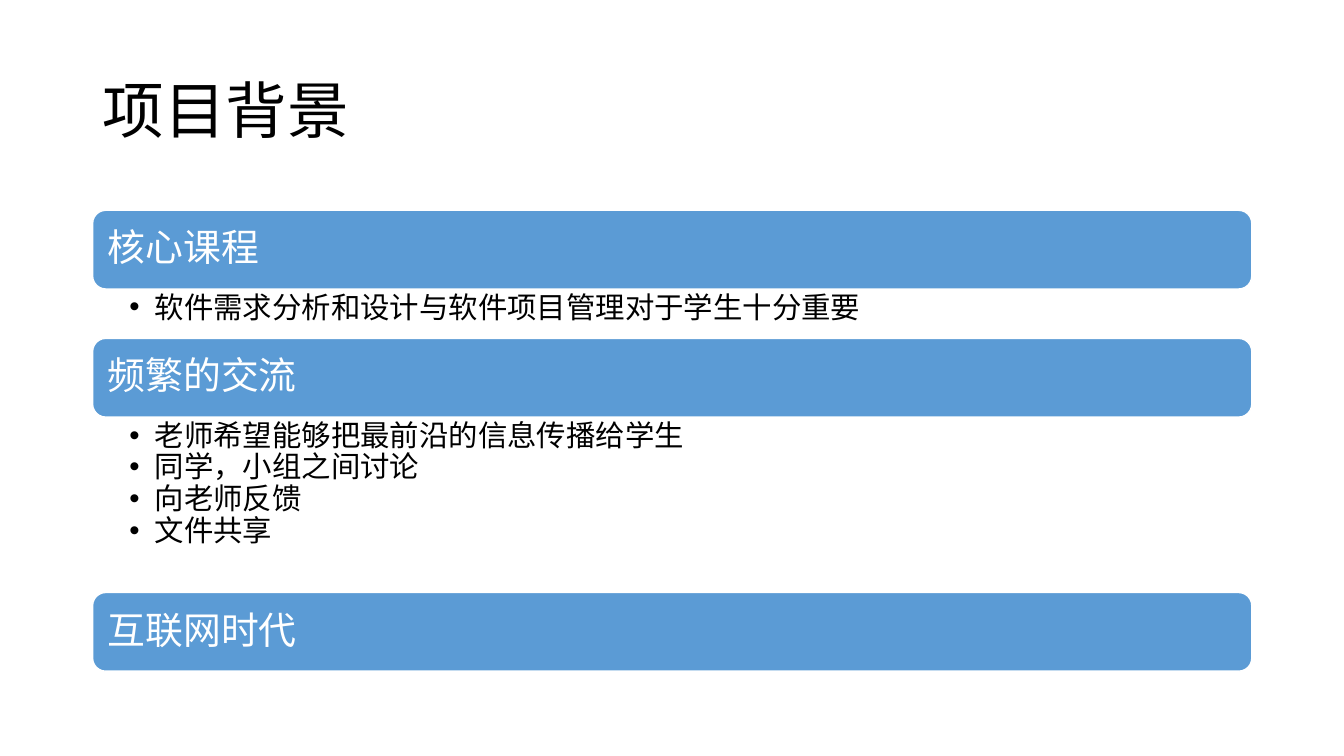
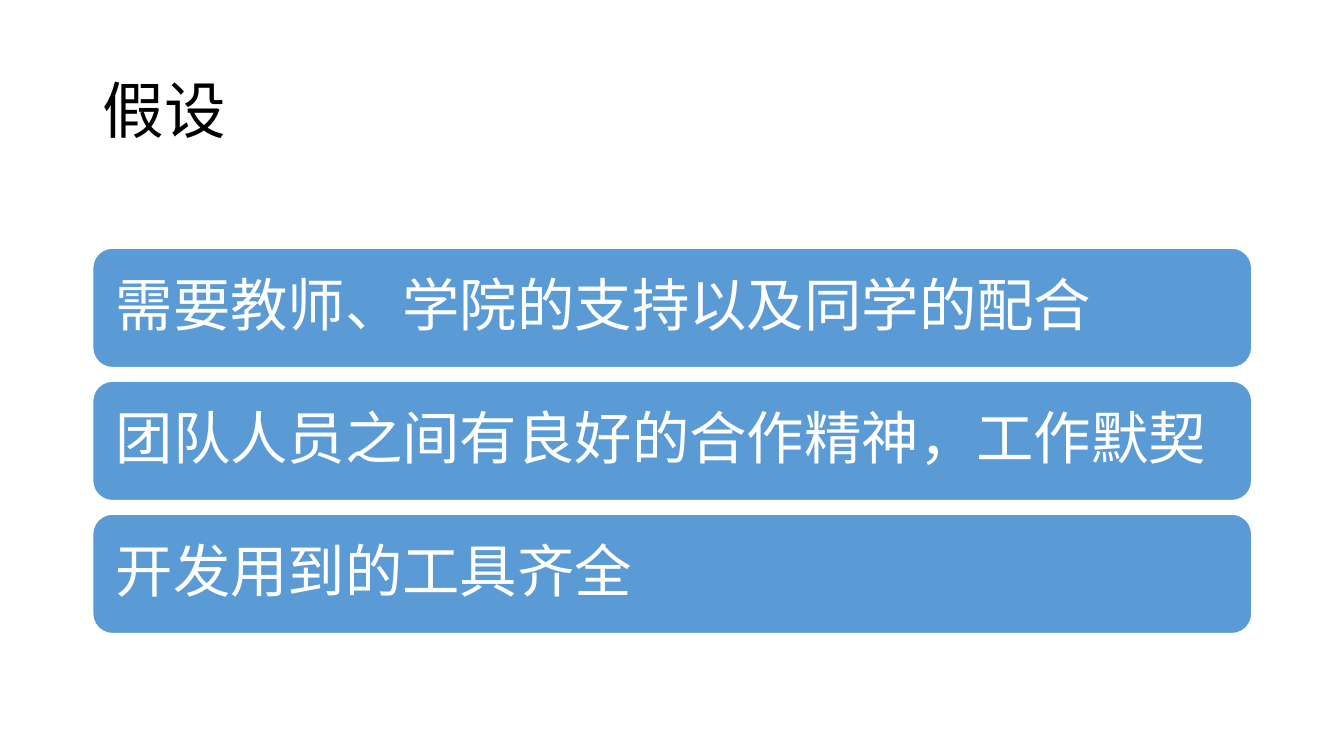
from lxml.etree import SubElement
from pptx import Presentation
from pptx.dml.color import RGBColor
from pptx.enum.shapes import MSO_SHAPE
from pptx.enum.text import MSO_ANCHOR, MSO_AUTO_SIZE, PP_ALIGN
from pptx.oxml.ns import qn
from pptx.util import Pt

BLACK = RGBColor(0x00, 0x00, 0x00)
WHITE = RGBColor(0xFF, 0xFF, 0xFF)
BLUE = RGBColor(0x5B, 0x9B, 0xD5)
FONT = "Noto Sans CJK SC"
TITLE_ONLY, TWO_CONTENT = 5, 3
LEFT, WIDTH = 66.2, 828
PARAGRAPH = {"alignment": PP_ALIGN.LEFT, "line_spacing": 0.9,
             "space_before": Pt(0), "space_after": Pt(0)}
BULLET = {"marL": Pt(18), "indent": Pt(-18)}

TOPICS = [
    ("核心课程", ["软件需求分析和设计与软件项目管理对于学生十分重要"], 35.3),
    ("频繁的交流", ["老师希望能够把最前沿的信息传播给学生", "同学，小组之间讨论",
               "向老师反馈", "文件共享"], 125.3),
    ("互联网时代", [], 0),
]
ASSUMPTIONS = ["需要教师、学院的支持以及同学的配合",
               "团队人员之间有良好的合作精神，工作默契",
               "开发用到的工具齐全"]


def set_attrs(obj, values):
    """Set every named attribute of obj."""
    for name, value in values.items():
        setattr(obj, name, value)


def place(sp, top, height):
    """Put a shape in the shared column."""
    set_attrs(sp, {"left": Pt(LEFT), "top": Pt(top),
                   "width": Pt(WIDTH), "height": Pt(height)})


def write(sp, lines, size, color, anchor, margins, bullet=False):
    """Fill a shape with formatted paragraphs."""
    tf = sp.text_frame
    set_attrs(tf, {"word_wrap": True, "auto_size": MSO_AUTO_SIZE.NONE,
                   "vertical_anchor": anchor})
    for side, margin in zip(("left", "top", "right", "bottom"), margins):
        setattr(tf, f"margin_{side}", Pt(margin))
    for i, line in enumerate(lines):
        p = tf.add_paragraph() if i else tf.paragraphs[0]
        set_attrs(p, PARAGRAPH)
        if bullet:
            for name, value in BULLET.items():
                p._p.get_or_add_pPr().set(name, str(value))
        r = p.add_run()
        r.text = line
        set_attrs(r.font, {"size": Pt(size), "name": FONT})
        r.font.color.rgb = color
        SubElement(r._r.get_or_add_rPr(), qn("a:ea")).set("typeface", FONT)


def add_slide(prs, layout, title):
    """Add a slide with the shared title style."""
    s = prs.slides.add_slide(prs.slide_layouts[layout])
    sp = s.shapes.title
    place(sp, 28.8, 104.4)
    write(sp, [title], 44, BLACK, MSO_ANCHOR.MIDDLE, (7.2, 3.6, 7.2, 3.6))
    return s


def add_band(s, text, top, height, size, margin):
    """Add a rounded blue band with its text."""
    sp = s.shapes.add_shape(MSO_SHAPE.ROUNDED_RECTANGLE, Pt(LEFT), Pt(top),
                            Pt(WIDTH), Pt(height))
    sp.shadow.inherit = False
    sp.fill.solid()
    sp.fill.fore_color.rgb = BLUE
    sp.line.color.rgb = WHITE
    sp.line.width = Pt(1)
    write(sp, [text], size, WHITE, MSO_ANCHOR.MIDDLE, [margin] * 4)


def fill_list(sp, items, top, height):
    """Turn a body placeholder into a bulleted list."""
    place(sp, top, height)
    write(sp, items, 21, BLACK, MSO_ANCHOR.TOP, (26.3, 2.7, 15, 2.7), bullet=True)


def add_background(prs):
    """Build the slide of topics with lists below them."""
    s = add_slide(prs, TWO_CONTENT, "项目背景")
    bodies = iter([sp for sp in s.placeholders if sp.placeholder_format.idx in (1, 2)])
    top, band = 150.2, 56.2
    for heading, items, height in TOPICS:
        add_band(s, heading, top, band, 27, 8.1)
        top += band
        if items:
            fill_list(next(bodies), items, top, height)
        top += height


def add_assumptions(prs):
    """Build the slide of evenly spaced bands."""
    s = add_slide(prs, TITLE_ONLY, "假设")
    for i, text in enumerate(ASSUMPTIONS):
        add_band(s, text, 177.2 + i * 95, 85.4, 41, 12.3)


def main():
    """Build and save the presentation."""
    prs = Presentation()
    set_attrs(prs, {"slide_width": Pt(960), "slide_height": Pt(540)})
    add_background(prs)
    add_assumptions(prs)
    prs.save("out.pptx")


main()
